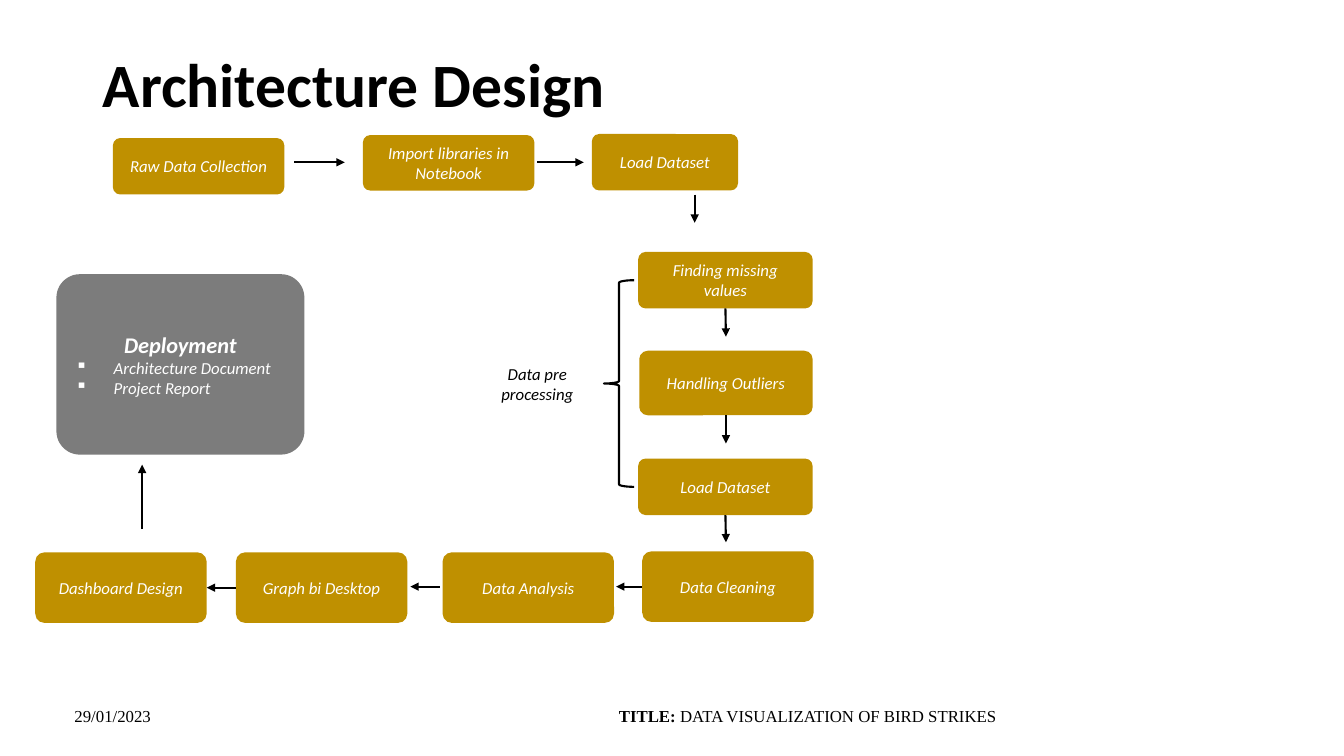
from pptx import Presentation
from pptx.dml.color import RGBColor
from pptx.enum.shapes import MSO_CONNECTOR, MSO_SHAPE
from pptx.enum.text import MSO_ANCHOR, PP_ALIGN
from pptx.oxml.ns import qn
from pptx.util import Inches, Pt
from lxml import etree

GOLD = RGBColor(0xBF, 0x90, 0x00)
GREY = RGBColor(0x7C, 0x7C, 0x7C)
BLACK = RGBColor(0, 0, 0)
WHITE = RGBColor(0xFF, 0xFF, 0xFF)

BOTTOM, LEFT, RIGHT = 2, 1, 3

# Step name: text, left, top, width, height
STEPS = {
    "collect": ("Raw Data Collection", 1.12, 1.37, 1.7, 0.56),
    "import": ("Import libraries in Notebook", 3.6, 1.34, 1.7, 0.55),
    "load": ("Load Dataset", 5.87, 1.33, 1.45, 0.56),
    "missing": ("Finding missing values", 6.33, 2.5, 1.73, 0.56),
    "outliers": ("Handling Outliers", 6.34, 3.48, 1.72, 0.64),
    "reload": ("Load Dataset", 6.33, 4.55, 1.73, 0.56),
    "dashboard": ("Dashboard Design", 0.35, 5.48, 1.7, 0.7),
    "desktop": ("Graph bi Desktop", 2.34, 5.48, 1.7, 0.7),
    "analysis": ("Data Analysis", 4.39, 5.48, 1.7, 0.7),
    "cleaning": ("Data Cleaning", 6.37, 5.47, 1.7, 0.7),
}

# Start point, end point, joined start and joined end (step, side)
ARROWS = [
    ((2.92, 1.61), (3.42, 1.61), None, None),
    ((5.33, 1.61), (5.79, 1.61), None, None),
    ((6.89, 1.93), (6.89, 2.21), None, None),
    ((7.2, 3.06), (7.2, 3.34), ("missing", BOTTOM), None),
    ((7.2, 4.12), (7.2, 4.4), ("outliers", BOTTOM), None),
    ((7.2, 5.11), (7.2, 5.38), ("reload", BOTTOM), None),
    ((6.37, 5.82), (6.11, 5.82), ("cleaning", LEFT), None),
    ((4.36, 5.82), (4.07, 5.82), None, None),
    ((2.34, 5.83), (2.05, 5.83), ("desktop", LEFT), ("dashboard", RIGHT)),
    ((1.41, 5.25), (1.41, 4.61), None, None),
]


def add_run(paragraph, text, color=WHITE, **font_format):
    run = paragraph.add_run()
    run.text = text
    values = {"name": "Calibri", "size": Pt(12), "bold": False, **font_format}
    for name, value in values.items():
        setattr(run.font, name, value)
    run.font.color.rgb = color


def add_box(slide, left, top, width, height, fill=None):
    shape = slide.shapes.add_shape(
        MSO_SHAPE.ROUNDED_RECTANGLE,
        Inches(left), Inches(top), Inches(width), Inches(height))
    shape.adjustments[0] = 0.13
    shape.shadow.inherit = False
    shape.line.fill.background()
    if fill is None:
        shape.fill.background()
    else:
        shape.fill.solid()
        shape.fill.fore_color.rgb = fill
    frame_format = {"word_wrap": True, "vertical_anchor": MSO_ANCHOR.MIDDLE,
                    "margin_left": Inches(0.12), "margin_right": Inches(0.12)}
    for name, value in frame_format.items():
        setattr(shape.text_frame, name, value)
    return shape


def add_step(slide, text, left, top, width, height, fill=GOLD, color=WHITE):
    shape = add_box(slide, left, top, width, height, fill)
    paragraph = shape.text_frame.paragraphs[0]
    paragraph.alignment = PP_ALIGN.CENTER
    add_run(paragraph, text, color, italic=True)
    return shape


def add_bullet(text_frame, text):
    paragraph = text_frame.add_paragraph()
    paragraph.alignment = PP_ALIGN.LEFT
    add_run(paragraph, text, italic=True)
    properties = paragraph._p.get_or_add_pPr()
    properties.set("marL", str(Inches(0.38)))
    properties.set("indent", str(Inches(-0.38)))
    etree.SubElement(properties, qn("a:buChar")).set("char", "▪")


def add_deployment(slide):
    text_frame = add_box(slide, 0.56, 2.72, 2.46, 1.79, GREY).text_frame
    heading = text_frame.paragraphs[0]
    heading.alignment = PP_ALIGN.CENTER
    add_run(heading, "Deployment", size=Pt(16), bold=True, italic=True)
    for text in ("Architecture Document", "Project Report"):
        add_bullet(text_frame, text)


def add_brace(slide):
    brace = slide.shapes.add_shape(
        MSO_SHAPE.LEFT_BRACE,
        Inches(5.99), Inches(2.78), Inches(0.3), Inches(2.05))
    brace.shadow.inherit = False
    brace.fill.background()
    brace.line.color.rgb = BLACK
    brace.line.width = Pt(1.5)


def add_arrow(slide, steps, start, end, begin_join, end_join):
    arrow = slide.shapes.add_connector(
        MSO_CONNECTOR.STRAIGHT, *map(Inches, start + end))
    if begin_join:
        arrow.begin_connect(steps[begin_join[0]], begin_join[1])
    if end_join:
        arrow.end_connect(steps[end_join[0]], end_join[1])
    arrow.line.color.rgb = BLACK
    arrow.line.width = Pt(1.5)
    line = arrow.line._get_or_add_ln()
    etree.SubElement(line, qn("a:tailEnd")).set("type", "triangle")
    etree.SubElement(arrow._element.spPr, qn("a:effectLst"))


def add_footer(slide, left, width, *runs):
    box = slide.shapes.add_textbox(
        Inches(left), Inches(6.95), Inches(width), Inches(0.3))
    box.text_frame.word_wrap = True
    for text, bold in runs:
        add_run(box.text_frame.paragraphs[0], text, BLACK,
                name="Times New Roman", bold=bold)


def set_title(slide, text):
    title = slide.shapes.title
    place = {"left": 0.92, "top": 0.4, "width": 11.5, "height": 0.93}
    for name, value in place.items():
        setattr(title, name, Inches(value))
    title.text_frame.vertical_anchor = MSO_ANCHOR.MIDDLE
    paragraph = title.text_frame.paragraphs[0]
    paragraph.alignment = PP_ALIGN.LEFT
    paragraph.line_spacing = 0.9
    add_run(paragraph, text, BLACK, size=Pt(44), bold=True)


def main():
    presentation = Presentation()
    presentation.slide_width = Inches(13.33)
    presentation.slide_height = Inches(7.5)
    slide = presentation.slides.add_slide(presentation.slide_layouts[5])
    set_title(slide, "Architecture Design")

    # Process steps
    steps = {name: add_step(slide, *step) for name, step in STEPS.items()}
    add_deployment(slide)

    # Group label for the three preprocessing steps
    add_brace(slide)
    add_step(slide, "Data pre processing", 4.71, 3.45, 1.24, 0.71,
             fill=None, color=BLACK)

    # Flow
    for arrow in ARROWS:
        add_arrow(slide, steps, *arrow)

    # Footer
    add_footer(slide, 0.64, 1.95, ("29/01/2023", False))
    add_footer(slide, 6.04, 4.4, ("TITLE: ", True),
               ("DATA VISUALIZATION OF BIRD STRIKES", False))

    presentation.save("out.pptx")


if __name__ == "__main__":
    main()
